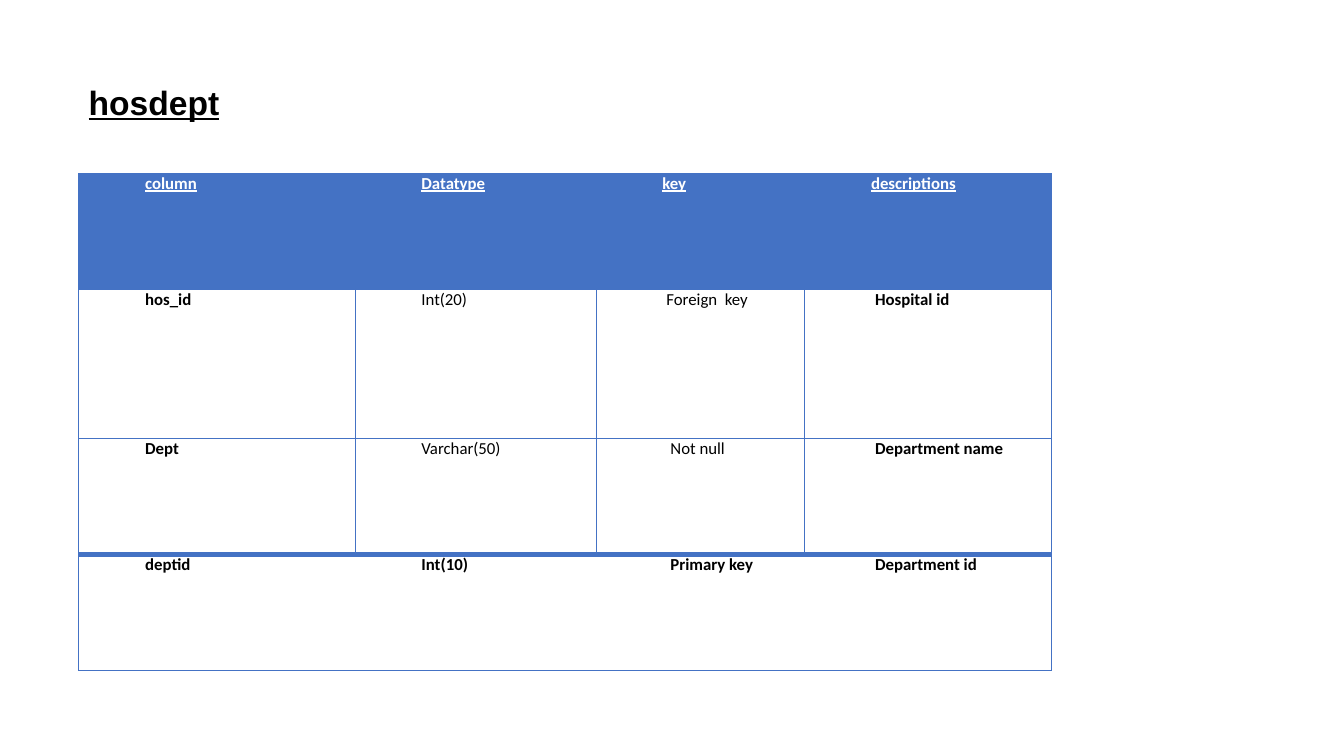
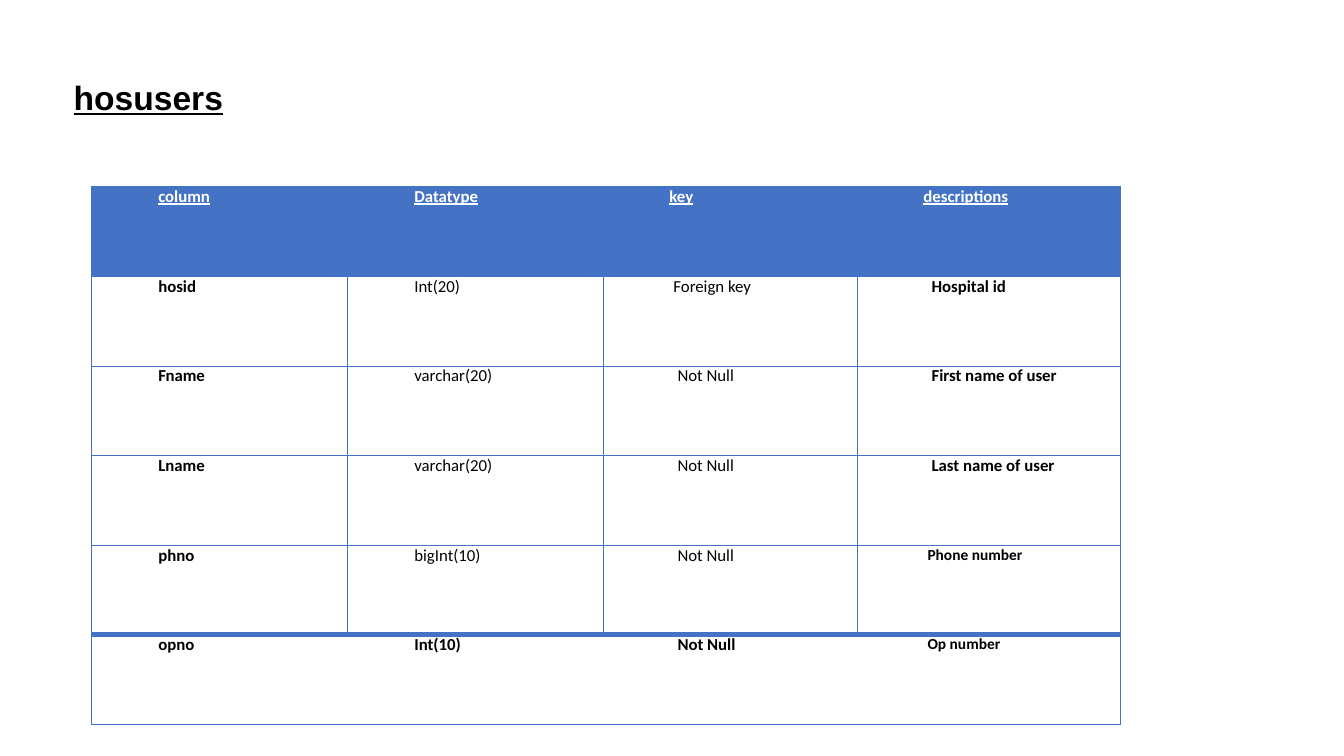
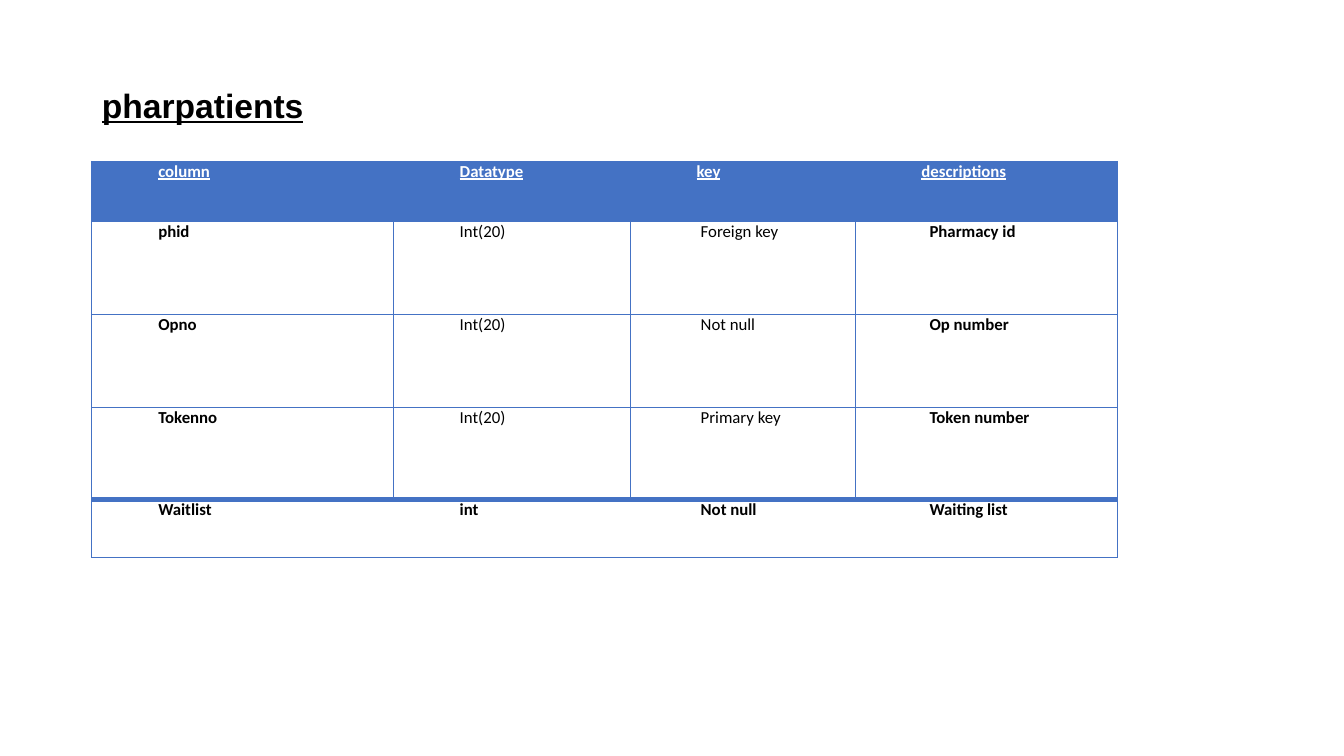
"""Build three slides that each describe one database table."""
from typing import NamedTuple

from lxml.etree import SubElement
from pptx import Presentation
from pptx.dml.color import RGBColor
from pptx.enum.text import MSO_ANCHOR, MSO_AUTO_SIZE, PP_ALIGN
from pptx.oxml.ns import qn
from pptx.util import Inches, Pt

BLUE = RGBColor(0x44, 0x72, 0xC4)
WHITE = RGBColor(0xFF, 0xFF, 0xFF)
BLACK = RGBColor(0x00, 0x00, 0x00)
THIN, THICK = 0.5, 4
CELL_INDENT, INDENT_STEP = 0.66, 0.04
HEADINGS = ("column", "Datatype", "key", "descriptions")


class Field(NamedTuple):
    name: str
    datatype: str
    key: str
    description: str
    key_steps: int = 2
    description_steps: int = 2
    description_size: int = 12


class Page(NamedTuple):
    title: str
    title_box: tuple
    table_corner: tuple
    columns: tuple
    rows: tuple
    fields: tuple


PAGES = (
    Page("hosdept", (0.78, 0.74, 1.51, 0.81), (0.78, 1.72),
         (2.74, 2.39, 2.07, 2.45), (1.15, 1.48, 1.15, 1.15), (
             Field("hos_id", "Int(20)", "Foreign  key", "Hospital id", 1, 1),
             Field("Dept", "Varchar(50)", "Not null", "Department name", 2, 1),
             Field("deptid", "Int(10)", "Primary key", "Department id", 2, 1))),
    Page("hosusers", (0.63, 0.69, 1.7, 0.91), (0.91, 1.85),
         (2.54, 2.53, 2.52, 2.61), (0.89,) * 6, (
             Field("hosid", "Int(20)", "Foreign key", "Hospital id", 1),
             Field("Fname", "varchar(20)", "Not Null", "First name of user"),
             Field("Lname", "varchar(20)", "Not Null", "Last name of user"),
             Field("phno", "bigInt(10)", "Not Null", "Phone number", 2, 1, 11),
             Field("opno", "Int(10)", "Not Null", "Op number", 2, 1, 11))),
    Page("pharpatients", (0.91, 0.77, 2.22, 0.81), (0.91, 1.6),
         (2.99, 2.35, 2.23, 2.6), (0.6, 0.92, 0.92, 0.92, 0.57), (
             Field("phid", "Int(20)", "Foreign key", "Pharmacy id", 1),
             Field("Opno", "Int(20)", "Not null", "Op number", 1),
             Field("Tokenno", "Int(20)", "Primary key", "Token number", 1),
             Field("Waitlist", "int", "Not null", "Waiting list", 1))),
)


def add_run(paragraph, text, font_name, size, color, bold, underline):
    run = paragraph.add_run()
    run.text = text
    run.font.name = font_name
    run.font.size = Pt(size)
    run.font.color.rgb = color
    run.font.bold = bold
    run.font.underline = underline


def set_borders(cell, widths):
    properties = cell._tc.get_or_add_tcPr()
    for side, width in zip("LRTB", widths):
        line = SubElement(properties, qn(f"a:ln{side}"), w=str(Pt(width)))
        if width:
            fill = SubElement(line, qn("a:solidFill"))
            SubElement(fill, qn("a:srgbClr"), val=str(BLUE))
        else:
            SubElement(line, qn("a:noFill"))


presentation = Presentation()
presentation.slide_width = Inches(13.33)
presentation.slide_height = Inches(7.5)
title_only = presentation.slide_layouts[5]

for page in PAGES:
    slide = presentation.slides.add_slide(title_only)
    title = slide.shapes.title
    title.left, title.top, title.width, title.height = map(Inches, page.title_box)
    frame = title.text_frame
    frame.auto_size = MSO_AUTO_SIZE.NONE
    frame.word_wrap = False
    frame.vertical_anchor = MSO_ANCHOR.TOP
    frame.margin_top = Inches(0.07)
    frame.paragraphs[0].alignment = PP_ALIGN.LEFT
    add_run(frame.paragraphs[0], page.title, "Arial", 24, BLACK, True, True)

    table = slide.shapes.add_table(
        len(page.rows), len(page.columns), *map(Inches, page.table_corner),
        Inches(sum(page.columns)), Inches(sum(page.rows))).table
    table.first_row = table.horz_banding = False
    for column, width in zip(table.columns, page.columns):
        column.width = Inches(width)
    for row, height in zip(table.rows, page.rows):
        row.height = Inches(height)

    last_row, last_column = len(page.rows) - 1, len(page.columns) - 1
    for row_index, record in enumerate((Field(*HEADINGS, 0, 0), *page.fields)):
        is_header, is_last = row_index == 0, row_index == last_row
        steps = (0, 0, record.key_steps, record.description_steps)
        sizes = (12, 12, 12, record.description_size)
        top = THICK if is_last else THIN
        bottom = THICK if row_index == last_row - 1 else THIN
        inner = 0 if is_header or is_last else THIN
        for column_index, text in enumerate(record[:4]):
            cell = table.cell(row_index, column_index)
            cell.margin_left = cell.margin_right = 0
            cell.margin_top = cell.margin_bottom = 0
            left = THIN if column_index == 0 else inner
            right = THIN if column_index == last_column else inner
            set_borders(cell, (left, right, top, bottom))
            if is_header:
                cell.fill.solid()
                cell.fill.fore_color.rgb = BLUE
            else:
                cell.fill.background()
            paragraph = cell.text_frame.paragraphs[0]
            indent = CELL_INDENT + INDENT_STEP * steps[column_index]
            paragraph._p.get_or_add_pPr().set("marL", str(Inches(indent)))
            paragraph.space_before = Pt(3.4)
            bold = is_header or is_last or column_index in (0, last_column)
            add_run(paragraph, text, "Calibri", sizes[column_index],
                    WHITE if is_header else BLACK, bold, is_header)

presentation.save("out.pptx")
